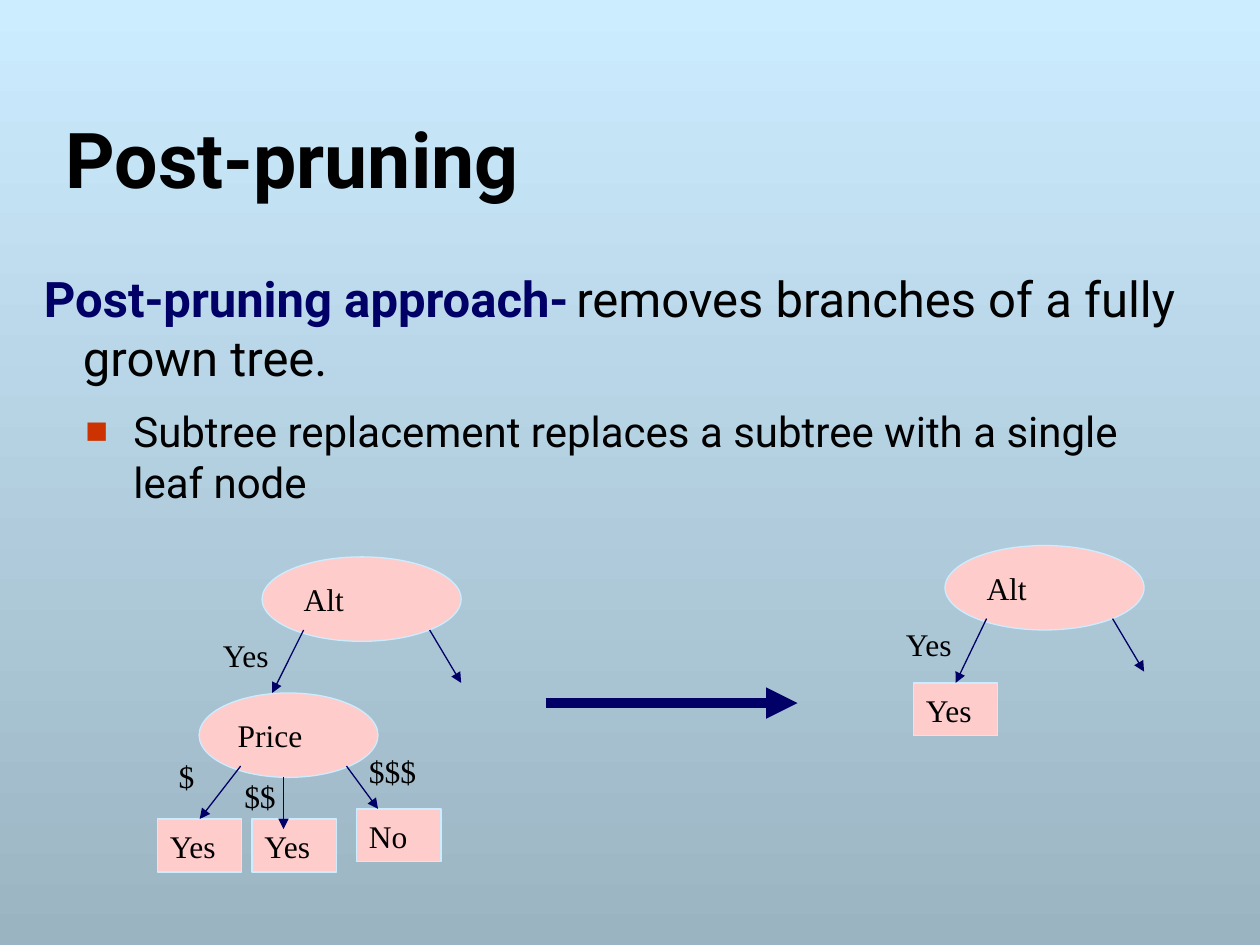
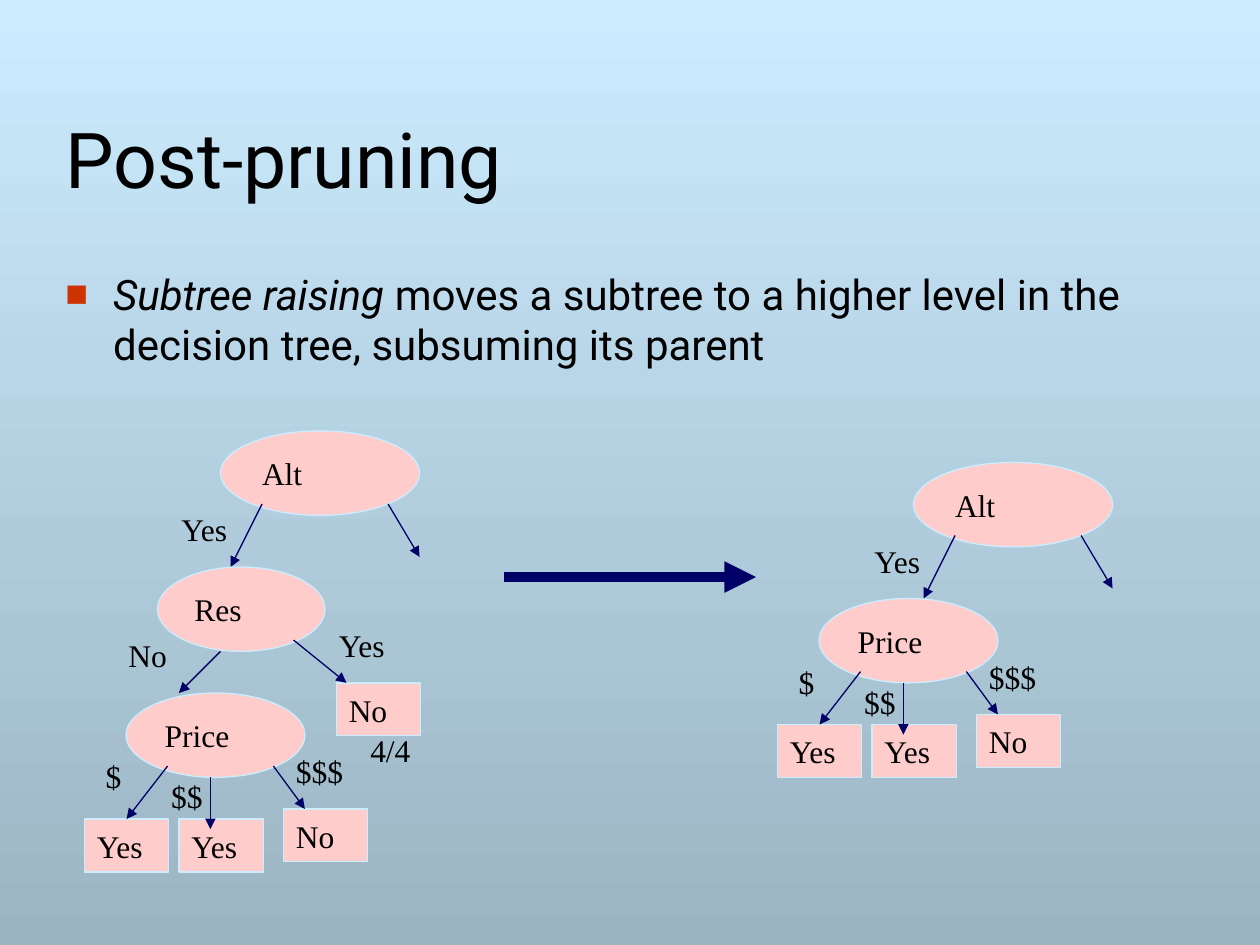
from dataclasses import dataclass

from lxml.etree import SubElement
from pptx import Presentation
from pptx.dml.color import RGBColor
from pptx.enum.shapes import MSO_CONNECTOR, MSO_SHAPE
from pptx.enum.text import MSO_ANCHOR
from pptx.oxml.ns import qn
from pptx.util import Inches, Pt


@dataclass(frozen=True)
class Theme:
    ink: str = "000000"
    navy: str = "000066"
    pink: str = "FFCCCC"
    sky: str = "CCECFF"
    slate: str = "9BB4C2"
    rust: str = "CC3300"
    sans: str = "Roboto"
    serif: str = "Times New Roman"
    title: int = 44
    lead: int = 28
    body: int = 24
    small: int = 18
    thin: float = 0.75
    thick: float = 6


THEME = Theme()
NODE_H = 0.67
LEAF_W, LEAF_H = 0.67, 0.42


def rgb(code):
    return RGBColor.from_string(code)


# Text
def write(frame, *runs, size=THEME.small, font=THEME.serif, anchor=MSO_ANCHOR.TOP,
          wrap=True, left=0, hang=0, bullet=None):
    """Each run is a string or a pair of string and format changes."""
    frame.word_wrap = wrap
    frame.vertical_anchor = anchor
    para = frame.paragraphs[0]
    props = para._p.get_or_add_pPr()
    props.set("algn", "l")
    props.set("marL", str(Inches(left)))
    props.set("indent", str(Inches(-hang)))
    if bullet:
        tint = SubElement(props, qn("a:buClr"))
        SubElement(tint, qn("a:srgbClr"), val=THEME.rust)
        SubElement(props, qn("a:buSzPct"), val="90000")
        SubElement(props, qn("a:buFont"), typeface=THEME.serif)
        SubElement(props, qn("a:buChar"), char=bullet)
    for item in runs:
        text, look = (item, {}) if isinstance(item, str) else item
        run = para.add_run()
        run.text = text
        run.font.name = font
        run.font.size = Pt(look.get("size", size))
        run.font.bold = look.get("bold", False)
        run.font.italic = look.get("italic", False)
        run.font.color.rgb = rgb(look.get("color", THEME.ink))


def add_text(slide, x, y, w, h, *runs, **look):
    box = slide.shapes.add_textbox(Inches(x), Inches(y), Inches(w), Inches(h))
    write(box.text_frame, *runs, **look)


def add_point(slide, x, y, w, h, *runs):
    add_text(slide, x, y, w, h, *runs, size=THEME.body, font=THEME.sans,
             left=0.38, hang=0.38, bullet="■")


def add_label(slide, x, y, text, w=0.62):
    add_text(slide, x, y, w, 0.4, text, wrap=False)


# Tree parts
def add_node(slide, kind, x, y, w, h, text):
    node = slide.shapes.add_shape(kind, Inches(x), Inches(y), Inches(w), Inches(h))
    node.shadow.inherit = False
    node.fill.solid()
    node.fill.fore_color.rgb = rgb(THEME.pink)
    node.line.color.rgb = rgb(THEME.sky)
    node.line.width = Pt(THEME.thin)
    write(node.text_frame, text, anchor=MSO_ANCHOR.MIDDLE, wrap=False)
    return node


def add_test(slide, x, y, w, text):
    return add_node(slide, MSO_SHAPE.OVAL, x, y, w, NODE_H, text)


def add_leaf(slide, x, y, text):
    return add_node(slide, MSO_SHAPE.RECTANGLE, x, y, LEAF_W, LEAF_H, text)


def add_arrow(slide, x1, y1, x2, y2, width=THEME.thin, leaf=None):
    """Draw an arrow; a given leaf is joined at its top."""
    ends = [Inches(v) for v in (x1, y1, x2, y2)]
    arrow = slide.shapes.add_connector(MSO_CONNECTOR.STRAIGHT, *ends)
    arrow.line.color.rgb = rgb(THEME.navy)
    arrow.line.width = Pt(width)
    SubElement(arrow.line._get_or_add_ln(), qn("a:tailEnd"), type="triangle")
    SubElement(arrow._element.spPr, qn("a:effectLst"))
    if leaf is not None:
        arrow.end_connect(leaf, 0)


def add_root(slide, x, y, leaf=None):
    """Alt test with its Yes branch and an open branch."""
    add_test(slide, x, y, 1.58, "Alt")
    add_arrow(slide, x + 0.33, y + 0.58, x + 0.08, y + 1.08, leaf=leaf)
    add_arrow(slide, x + 1.33, y + 0.58, x + 1.58, y + 1)
    add_label(slide, x - 0.41, y + 0.58, "Yes")


def add_price(slide, x, y):
    """Price test with its three leaves."""
    add_test(slide, x, y, 1.42, "Price")
    low = add_leaf(slide, x - 0.33, y + 1, "Yes")
    add_leaf(slide, x + 0.42, y + 1, "Yes")
    add_leaf(slide, x + 1.25, y + 0.92, "No")
    add_arrow(slide, x + 0.33, y + 0.58, x, y + 1, leaf=low)
    add_arrow(slide, x + 0.67, y + 0.67, x + 0.67, y + 1.08)
    add_arrow(slide, x + 1.17, y + 0.58, x + 1.42, y + 0.92)
    add_label(slide, x - 0.26, y + 0.46, "$", w=0.35)
    add_label(slide, x + 0.26, y + 0.62, "$$", w=0.48)
    add_label(slide, x + 1.25, y + 0.42, "$$$")


def add_step(slide, x, y):
    add_arrow(slide, x, y, x + 2, y, width=THEME.thick)


# Slides
def new_slide(deck, title, bold=False):
    slide = deck.slides.add_slide(deck.slide_layouts[6])
    fill = slide.background.fill
    fill.gradient()
    fill.gradient_angle = 270
    for stop, code, place in zip(fill.gradient_stops, (THEME.sky, THEME.slate), (0, 1)):
        stop.color.rgb = rgb(code)
        stop.position = place
    add_text(slide, 0.42, 0.42, 8.75, 1.25, (title, {"bold": bold}),
             size=THEME.title, font=THEME.sans, anchor=MSO_ANCHOR.BOTTOM)
    return slide


def replace_slide(deck):
    slide = new_slide(deck, "Post-pruning", bold=True)
    add_text(slide, -0.25, 2.08, 10.25, 1.08,
             ("Post-pruning approach-", {"bold": True, "color": THEME.navy}),
             (" ", {"size": THEME.small}),
             "removes branches of a fully grown tree.",
             size=THEME.lead, font=THEME.sans, left=0.81, hang=0.31)
    add_point(slide, 0.58, 3.17, 8.58, 0.92,
              "Subtree replacement replaces a subtree with a single leaf node")
    # Full tree
    add_root(slide, 2.08, 4.42)
    add_price(slide, 1.58, 5.5)
    add_step(slide, 4.33, 5.58)
    # Pruned tree
    leaf = add_leaf(slide, 7.25, 5.42, "Yes")
    add_root(slide, 7.5, 4.33, leaf=leaf)


def raise_slide(deck):
    slide = new_slide(deck, "Post-pruning")
    add_point(slide, 0.42, 2.08, 8.75, 1.17, ("Subtree raising", {"italic": True}),
              " moves a subtree to a higher level in the decision tree, "
              "subsuming its parent")
    # Full tree
    add_root(slide, 1.75, 3.42)
    add_test(slide, 1.25, 4.5, 1.33, "Res")
    add_leaf(slide, 2.67, 5.42, "No")
    add_arrow(slide, 1.75, 5.17, 1.42, 5.5)
    add_arrow(slide, 2.33, 5.08, 2.75, 5.42)
    add_label(slide, 0.92, 5, "No", w=0.55)
    add_label(slide, 2.59, 4.92, "Yes")
    add_label(slide, 2.84, 5.75, "4/4", w=0.55)
    add_price(slide, 1, 5.5)
    add_step(slide, 4, 4.58)
    # Raised subtree
    add_root(slide, 7.25, 3.67)
    add_price(slide, 6.5, 4.75)


def main():
    deck = Presentation()
    deck.slide_width, deck.slide_height = Inches(10), Inches(7.5)
    replace_slide(deck)
    raise_slide(deck)
    deck.save("out.pptx")


if __name__ == "__main__":
    main()
